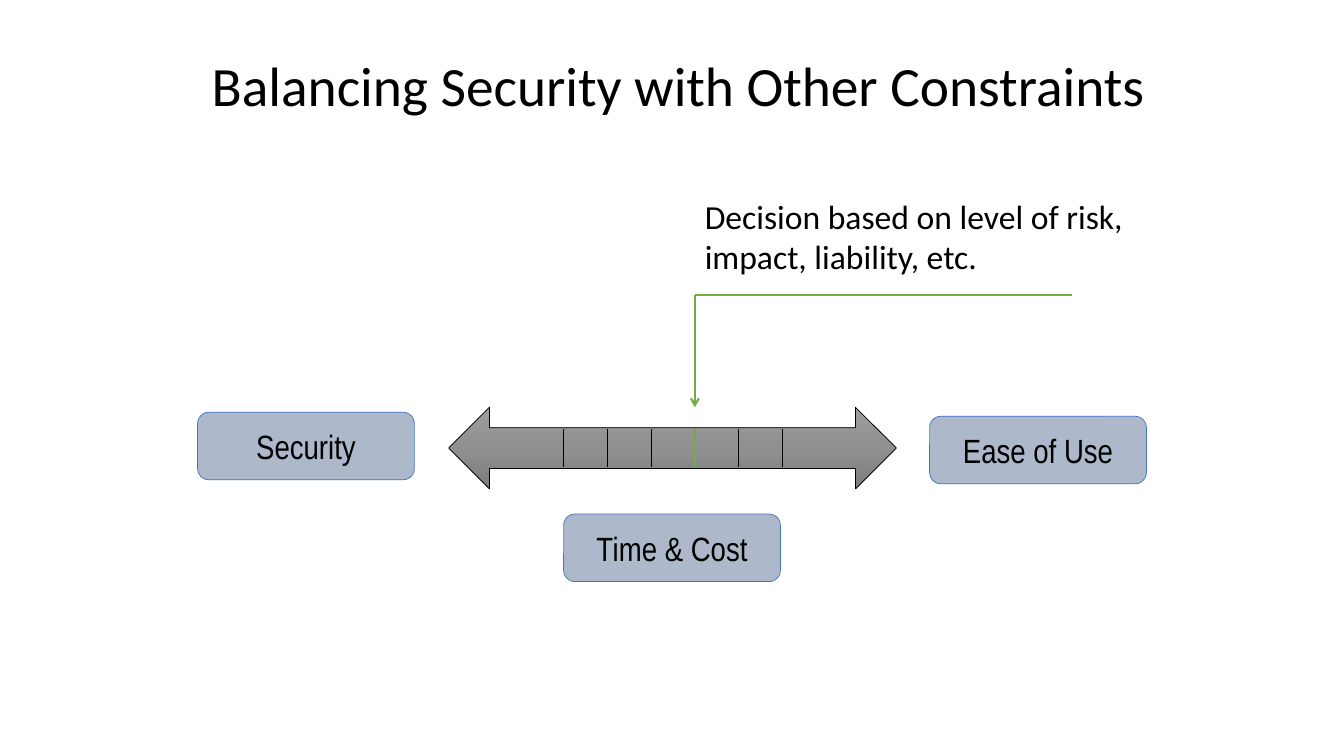
from copy import deepcopy

from lxml.etree import SubElement
from pptx import Presentation
from pptx.dml.color import RGBColor
from pptx.enum.shapes import MSO_CONNECTOR, MSO_SHAPE
from pptx.enum.text import MSO_ANCHOR, MSO_AUTO_SIZE, PP_ALIGN
from pptx.oxml.ns import qn
from pptx.util import Inches, Pt

TITLE = "Balancing Security with Other Constraints"
DECISION = "Decision based on level of risk, \vimpact, liability, etc."
CONSTRAINTS = [  # text, left, top
    ("Security", 1.96, 4.09),
    ("Time & Cost", 5.59, 5.1),
    ("Ease of Use", 9.22, 4.13),
]
COLORS = {
    "text": "000000",
    "box": "ADB9CA",
    "box_line": "4472C4",
    "decision": "70AD47",
    "scale_line": "000000",
    "scale_top": "9D9D9D",
    "scale_middle": "909090",
    "scale_bottom": "7C7C7C",
}
BOX_WIDTH, BOX_HEIGHT = 2.15, 0.67
SCALE_LEFT, SCALE_TOP, SCALE_WIDTH, SCALE_HEIGHT = 4.45, 4.04, 4.44, 0.81
TICK_LEFT, TICK_GAP, TICK_COUNT, DECISION_TICK = 5.59, 0.434, 6, 3
TICK_TOP, TICK_BOTTOM = 4.26, 4.63
DECISION_X = TICK_LEFT + DECISION_TICK * TICK_GAP
DECISION_Y, DECISION_RIGHT = 2.93, 10.63


def color(name):
    return RGBColor.from_string(COLORS[name])


def set_text(shape, text, font_name, size, anchor, alignment):
    frame = shape.text_frame
    frame.text = text
    frame.word_wrap = True
    frame.auto_size = MSO_AUTO_SIZE.NONE
    frame.vertical_anchor = anchor
    paragraph = frame.paragraphs[0]
    paragraph.alignment = alignment
    for run in paragraph.runs:
        run.font.name = font_name
        run.font.size = Pt(size)
        run.font.color.rgb = color("text")
    return paragraph


def add_line(shapes, start, end, color_name, width):
    connector = shapes.add_connector(
        MSO_CONNECTOR.STRAIGHT, *(Inches(value) for value in (*start, *end)))
    connector.line.color.rgb = color(color_name)
    connector.line.width = Pt(width)
    SubElement(connector._element.spPr, qn("a:effectLst"))
    return connector


def add_constraint(slide, text, left, top):
    box = slide.shapes.add_shape(
        MSO_SHAPE.ROUNDED_RECTANGLE, Inches(left), Inches(top),
        Inches(BOX_WIDTH), Inches(BOX_HEIGHT))
    box.shadow.inherit = False
    box.fill.solid()
    box.fill.fore_color.rgb = color("box")
    box.line.color.rgb = color("box_line")
    box.line.width = Pt(0.5)
    set_text(box, text, "Arial Narrow", 24, MSO_ANCHOR.MIDDLE, PP_ALIGN.CENTER)


def fill_scale(arrow):
    """Shade the arrow from top to bottom through three greys."""
    arrow.fill.gradient()
    arrow.fill.gradient_angle = 270
    top, bottom = arrow.fill.gradient_stops
    top.position, bottom.position = 0, 1
    bottom.color.rgb = color("scale_bottom")
    top.color.rgb = color("scale_middle")
    middle = deepcopy(top._gs)
    middle.set("pos", "50000")
    top._gs.addnext(middle)
    top.color.rgb = color("scale_top")


def add_scale(slide):
    group = slide.shapes.add_group_shape()
    arrow = group.shapes.add_shape(
        MSO_SHAPE.LEFT_RIGHT_ARROW, Inches(SCALE_LEFT), Inches(SCALE_TOP),
        Inches(SCALE_WIDTH), Inches(SCALE_HEIGHT))
    arrow.shadow.inherit = False
    fill_scale(arrow)
    arrow.line.color.rgb = color("scale_line")
    arrow.line.width = Pt(0.5)
    for index in range(TICK_COUNT):
        x = TICK_LEFT + index * TICK_GAP
        style = ("decision", 1.5) if index == DECISION_TICK else ("scale_line", 0.75)
        add_line(group.shapes, (x, TICK_TOP), (x, TICK_BOTTOM), *style)


def add_decision(slide):
    corner = (DECISION_X, DECISION_Y)
    pointer = add_line(slide.shapes, corner, (DECISION_X, SCALE_TOP), "decision", 1.5)
    SubElement(pointer.line._get_or_add_ln(), qn("a:tailEnd"), type="arrow")
    add_line(slide.shapes, corner, (DECISION_RIGHT, DECISION_Y), "decision", 1.5)
    note = slide.shapes.add_textbox(
        Inches(DECISION_X), Inches(1.89), Inches(4.46), Inches(0.91))
    set_text(note, DECISION, "Calibri", 24, MSO_ANCHOR.TOP, PP_ALIGN.LEFT)


def main():
    presentation = Presentation()
    presentation.slide_width = Inches(13.33)
    presentation.slide_height = Inches(7.5)
    slide = presentation.slides.add_slide(presentation.slide_layouts[5])

    title = slide.shapes.title
    title.left, title.top = Inches(2), Inches(0.25)
    title.width, title.height = Inches(9.52), Inches(1.25)
    heading = set_text(title, TITLE, "Calibri", 39.6, MSO_ANCHOR.MIDDLE, PP_ALIGN.LEFT)
    heading.line_spacing = 0.9

    for text, left, top in CONSTRAINTS:
        add_constraint(slide, text, left, top)
    add_scale(slide)
    add_decision(slide)
    presentation.save("out.pptx")


if __name__ == "__main__":
    main()
